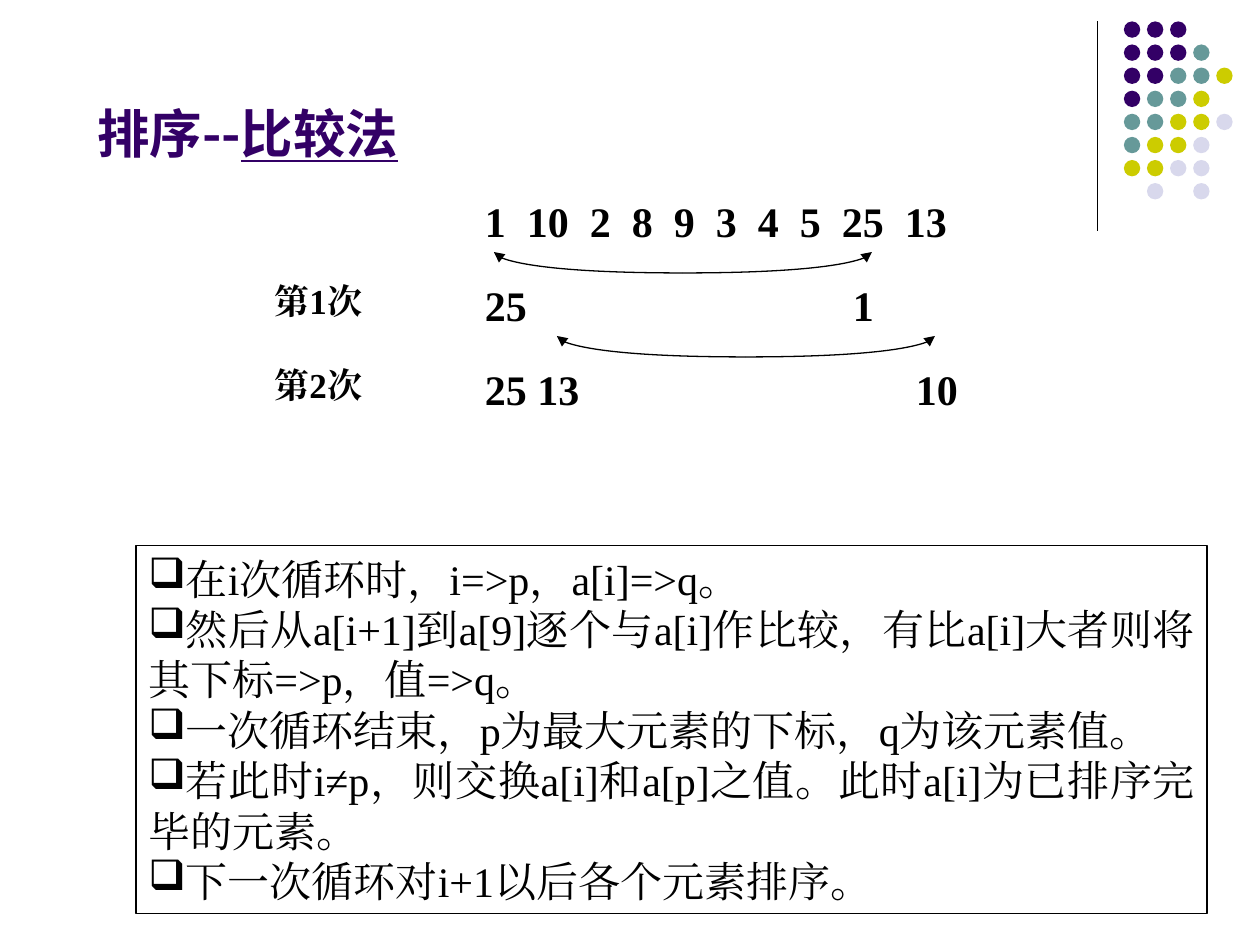
from pptx import Presentation
from pptx.dml.color import RGBColor
from pptx.enum.shapes import MSO_CONNECTOR, MSO_SHAPE
from pptx.enum.text import MSO_ANCHOR, PP_ALIGN
from pptx.oxml.ns import qn
from pptx.util import Inches, Pt
from lxml.etree import SubElement

THEME = {
    "sans": "Noto Sans CJK SC", "serif": "Times New Roman",
    "title": 30, "body": 24, "label": 20, "line": 0.75,
    "ink": "000000", "paper": "FFFFFF",
    "purple": "330066", "teal": "669999", "olive": "CCCC00", "pale": "D8D8EC",
}
TITLE = [("排序--", False), ("比较法", True)]
NUMBERS = ["1", "10", "2", "8", "9", "3", "4", "5", "25", "13"]
PASSES = [
    {"label": "第1次", "cells": [(0, "25"), (2.92, "1")], "arc": (3.92, 6.92)},
    {"label": "第2次", "cells": [(0, "25 13"), (3.42, "10")], "arc": (4.42, 7.42)},
]
STEPS = [
    "在i次循环时，i=>p，a[i]=>q。",
    "然后从a[i+1]到a[9]逐个与a[i]作比较，有比a[i]大者则将其下标=>p，值=>q。",
    "一次循环结束，p为最大元素的下标，q为该元素值。",
    "若此时i≠p，则交换a[i]和a[p]之值。此时a[i]为已排序完毕的元素。",
    "下一次循环对i+1以后各个元素排序。",
]
DOTS = ["PPP", "PPPT", "PPTTO", "PTTO", "TTOOL", "TOOL", "OOLL", " L L"]
DOT_COLOURS = {"P": "purple", "T": "teal", "O": "olive", "L": "pale"}
DOT_SIZE, DOT_PITCH = 0.13, 1.1 / 6
DIGIT = 1 / 6
ROW_TOP, ROW_PITCH = 1.5, 2 / 3


def colour(name):
    return RGBColor.from_string(THEME[name])


def style(r, font, size, ink="ink", bold=False):
    r.font.name, r.font.size, r.font.bold = THEME[font], Pt(THEME[size]), bold
    r.font.color.rgb = colour(ink)
    SubElement(r._r.get_or_add_rPr(), qn("a:ea"), typeface=THEME[font])


def outline(sp):
    sp.line.color.rgb = colour("ink")
    sp.line.width = Pt(THEME["line"])


def add_text(s, x, y, w, h, text, size):
    tf = s.shapes.add_textbox(Inches(x), Inches(y), Inches(w), Inches(h)).text_frame
    tf.word_wrap = True
    p = tf.paragraphs[0]
    p.text = text
    p.line_spacing = Pt(THEME[size] * 1.2)
    style(p.runs[0], "serif", size, bold=True)
    return p


def add_cells(s, y, cells):
    p = add_text(s, 3.75, y, 4, 0.5, "\t".join(t for _, t in cells), "body")
    tabs = SubElement(p._p.get_or_add_pPr(), qn("a:tabLst"))
    for x, _ in cells[1:]:
        SubElement(tabs, qn("a:tab"), pos=str(int(Inches(x))), algn="l")


def add_half_arc(s, x0, y0, x1, y1):
    fb = s.shapes.build_freeform(Inches(x0), Inches(y0))
    fb.add_line_segments([(Inches(x1), Inches(y1))], close=False)
    sp = fb.convert_to_shape()
    sp.shadow.inherit = False
    sp.fill.background()
    outline(sp)
    SubElement(sp.line._get_or_add_ln(), qn("a:tailEnd"), type="triangle")
    geom = sp._element.spPr
    (ax, ay), (bx, by) = [
        (int(pt.get("x")), int(pt.get("y"))) for pt in geom.iter(qn("a:pt"))]
    segment = next(geom.iter(qn("a:lnTo")))
    curve = segment.getparent()
    curve.remove(segment)
    bezier = SubElement(curve, qn("a:cubicBezTo"))
    for x, y in [(ax + 0.55 * (bx - ax), ay), (bx, ay + 0.45 * (by - ay)), (bx, by)]:
        SubElement(bezier, qn("a:pt"), x=str(round(x)), y=str(round(y)))


def add_decoration(s):
    rule = s.shapes.add_connector(
        MSO_CONNECTOR.STRAIGHT, Inches(8.71), Inches(0.17), Inches(8.71), Inches(1.83))
    outline(rule)
    SubElement(rule._element.spPr, qn("a:effectLst"))
    for row, codes in enumerate(DOTS):
        for col, code in enumerate(codes):
            if code in DOT_COLOURS:
                sp = s.shapes.add_shape(
                    MSO_SHAPE.OVAL, Inches(8.92 + col * DOT_PITCH),
                    Inches(0.17 + row * DOT_PITCH), Inches(DOT_SIZE), Inches(DOT_SIZE))
                sp.shadow.inherit = False
                sp.fill.solid()
                sp.fill.fore_color.rgb = colour(DOT_COLOURS[code])
                sp.line.fill.background()


def add_title(s):
    sp = s.shapes.title
    sp.left, sp.top, sp.width, sp.height = map(Inches, (0.67, 0.75, 8.5, 0.67))
    tf = sp.text_frame
    tf.vertical_anchor = MSO_ANCHOR.TOP
    p = tf.paragraphs[0]
    p.alignment = PP_ALIGN.LEFT
    for text, underlined in TITLE:
        r = p.add_run()
        r.text = text
        style(r, "sans", "title", "purple", True)
        r.font.underline = underlined


def add_steps(s):
    sp = s.shapes.add_shape(
        MSO_SHAPE.RECTANGLE, Inches(1.08), Inches(4.33), Inches(8.5), Inches(2.92))
    sp.shadow.inherit = False
    sp.fill.solid()
    sp.fill.fore_color.rgb = colour("paper")
    outline(sp)
    tf = sp.text_frame
    tf.word_wrap = True
    tf.vertical_anchor = MSO_ANCHOR.MIDDLE
    tf.text = "\n".join(STEPS)
    for p in tf.paragraphs:
        p.alignment = PP_ALIGN.JUSTIFY
        p.line_spacing = Pt(THEME["body"] * 1.2)
        SubElement(p._p.get_or_add_pPr(), qn("a:buChar"), char="❑")
        style(p.runs[0], "serif", "body")


def main():
    prs = Presentation()
    prs.slide_width, prs.slide_height = Inches(10), Inches(7.5)
    s = prs.slides.add_slide(prs.slide_layouts[5])
    add_decoration(s)
    add_title(s)
    add_steps(s)

    cells, x = [], 0
    for number in NUMBERS:
        cells.append((x, number))
        x += (len(number) + 1) * DIGIT
    add_cells(s, ROW_TOP, cells)

    for i, step in enumerate(PASSES, 1):
        y = ROW_TOP + i * ROW_PITCH
        left, right = step["arc"]
        for end in (right, left):
            add_half_arc(s, (left + right) / 2, y, end, y - DIGIT)
        add_text(s, 2.08, y, 0.9, 0.43, step["label"], "label")
        add_cells(s, y, step["cells"])
    prs.save("out.pptx")


if __name__ == "__main__":
    main()
